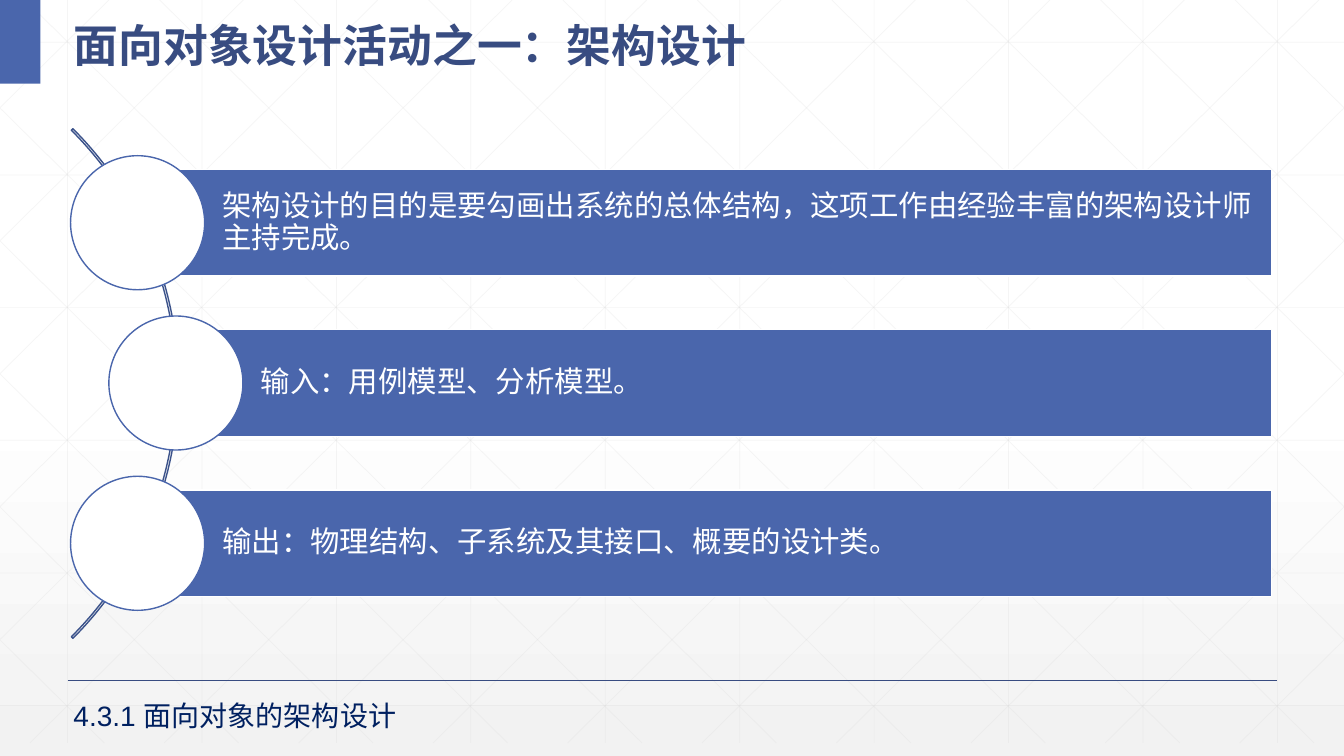
"""Build a slide on architecture design with three linked bars."""
from dataclasses import dataclass
from lxml import etree
from pptx import Presentation
from pptx.dml.color import RGBColor
from pptx.enum.shapes import MSO_CONNECTOR, MSO_SHAPE
from pptx.enum.text import MSO_ANCHOR, MSO_AUTO_SIZE, PP_ALIGN
from pptx.oxml.ns import qn
from pptx.shapes.autoshape import Shape
from pptx.shapes.connector import Connector
from pptx.slide import Slide
from pptx.util import Inches, Pt

LINE = MSO_CONNECTOR.STRAIGHT
RECT, OVAL, ARC = MSO_SHAPE.RECTANGLE, MSO_SHAPE.OVAL, MSO_SHAPE.BLOCK_ARC
MIDDLE, TOP = MSO_ANCHOR.MIDDLE, MSO_ANCHOR.TOP
LEFT, FIXED = PP_ALIGN.LEFT, MSO_AUTO_SIZE.NONE
WIDE, HIGH = 13.33, 7.5
BLUE, NAVY, WHITE, GREY = "4A66AC", "384C81", "FFFFFF", "D9D9D9"
HAN = "Noto Sans CJK SC"


@dataclass
class Box:
    """Hold a place and size in inches."""
    left: float
    top: float
    width: float
    height: float


@dataclass
class Item:
    """Hold one bar's text and the left edge of its circle."""
    text: str
    left: float


ITEMS = [
    Item("架构设计的目的是要勾画出系统的总体结构，这项工作由经验丰富的架构设计师主持完成。", 0.7),
    Item("输入：用例模型、分析模型。", 1.08),
    Item("输出：物理结构、子系统及其接口、概要的设计类。", 0.7),
]


def color(code: str) -> RGBColor:
    """Turn a hex string into a colour."""
    return RGBColor.from_string(code)


def place(shape: Shape, box: Box) -> None:
    """Move and size a shape."""
    shape.left, shape.top = Inches(box.left), Inches(box.top)
    shape.width, shape.height = Inches(box.width), Inches(box.height)


def write(shape: Shape, text: str, *, size: float, tint: str, face: str = "Arial",
          bold: bool = False, space: float = 1.0, anchor: MSO_ANCHOR = TOP,
          inset: tuple = (0.1, 0.05, 0.1, 0.05)) -> None:
    """Fill a shape with one formatted paragraph."""
    frame = shape.text_frame
    frame.word_wrap, frame.auto_size = True, FIXED
    frame.vertical_anchor = anchor
    (frame.margin_left, frame.margin_top,
     frame.margin_right, frame.margin_bottom) = map(Inches, inset)
    para = frame.paragraphs[0]
    para.alignment, para.line_spacing = LEFT, space
    run = para.add_run()
    run.text = text
    font = run.font
    font.name, font.size, font.bold = face, Pt(size), bold
    font.color.rgb = color(tint)
    etree.SubElement(font._element, qn("a:ea"), typeface=HAN)


def draw(slide: Slide, kind: MSO_SHAPE, box: Box, fill: str = "", edge: str = "") -> Shape:
    """Add a flat shape with an optional fill and edge."""
    shape = slide.shapes.add_shape(kind, 0, 0, 0, 0)
    place(shape, box)
    shape.shadow.inherit = False
    if fill:
        shape.fill.solid()
        shape.fill.fore_color.rgb = color(fill)
    else:
        shape.fill.background()
    if edge:
        shape.line.color.rgb = color(edge)
        shape.line.width = Pt(1)
    else:
        shape.line.fill.background()
    return shape


def rule(slide: Slide, start: tuple, end: tuple, tint: str, width: float) -> Connector:
    """Add a straight line without a shadow."""
    line = slide.shapes.add_connector(LINE, *map(Inches, start + end))
    line.line.color.rgb = color(tint)
    line.line.width = Pt(width)
    etree.SubElement(line._element.spPr, qn("a:effectLst"))
    return line


def faint(slide: Slide, start: tuple, end: tuple) -> None:
    """Add one pale line of the grid."""
    line = rule(slide, start, end, GREY, 0.5)
    tint = next(line._element.spPr.iter(qn("a:srgbClr")))
    etree.SubElement(tint, qn("a:alpha"), val="25000")


def grid(slide: Slide) -> None:
    """Draw the upright, level and slanted lines of the backdrop."""
    base, step, run = 7.37, 4 / 3, 7.45
    slope = base / run
    for col in range(10):
        left = 0.67 + col * step
        faint(slide, (left, 0), (left, base))
    for row in range(6):
        top = 0.42 + row * 1.316
        faint(slide, (0, top), (WIDE, top))
    for col in range(-5, 10):
        foot = 0.25 + col * step
        near, far = max(foot, 0), min(foot + run, WIDE)
        high, low = (near - foot) * slope, (far - foot) * slope
        faint(slide, (near, high), (far, low))
        faint(slide, (WIDE - near, high), (WIDE - far, low))


def shade(slide: Slide) -> None:
    """Fade the background from white to pale grey."""
    fill = slide.background.fill
    fill.gradient()
    fill.gradient_angle = 270
    for stop, spot, tint in zip(fill.gradient_stops, (0.53, 1), (WHITE, "F2F2F2")):
        stop.position = spot
        stop.color.rgb = color(tint)


def chain(slide: Slide) -> None:
    """Draw the arc with its bars and circles."""
    arc = draw(slide, ARC, Box(-5.38, 0.23, 7.15, 7.15), edge="3B528A")
    for spot, value in enumerate((189, 27, 0.003)):
        arc.adjustments[spot] = value
    size, tall, right = 1.33, 1.06, 12.61
    for row, item in enumerate(ITEMS):
        mid = 2.21 + row * 1.59
        left = item.left + size / 2
        bar = draw(slide, RECT, Box(left, mid - tall / 2, right - left, tall), BLUE, WHITE)
        write(bar, item.text, size=21, tint=WHITE, space=0.9, anchor=MIDDLE,
              inset=(0.84, 0.06, 0.06, 0.06))
        draw(slide, OVAL, Box(item.left, mid - size / 2, size, size), WHITE, BLUE)


def main() -> None:
    """Build and save the slide."""
    deck = Presentation()
    deck.slide_width, deck.slide_height = Inches(WIDE), Inches(HIGH)
    slide = deck.slides.add_slide(deck.slide_layouts[5])
    shade(slide)
    grid(slide)
    rule(slide, (0.67, 6.75), (12.67, 6.75), NAVY, 1)
    draw(slide, RECT, Box(0, 0, 0.4, 0.83), BLUE)
    title = slide.shapes.title
    title.element.getparent().append(title.element)
    place(title, Box(0.63, 0, 8.47, 0.73))
    write(title, "面向对象设计活动之一：架构设计", size=32, tint=NAVY, face=HAN,
          bold=True, space=1.3, anchor=MIDDLE)
    chain(slide)
    foot = slide.shapes.add_textbox(0, 0, 0, 0)
    place(foot, Box(0.63, 6.88, 4.69, 0.44))
    write(foot, "4.3.1 面向对象的架构设计", size=20, tint="002060")
    deck.save("out.pptx")


if __name__ == "__main__":
    main()
